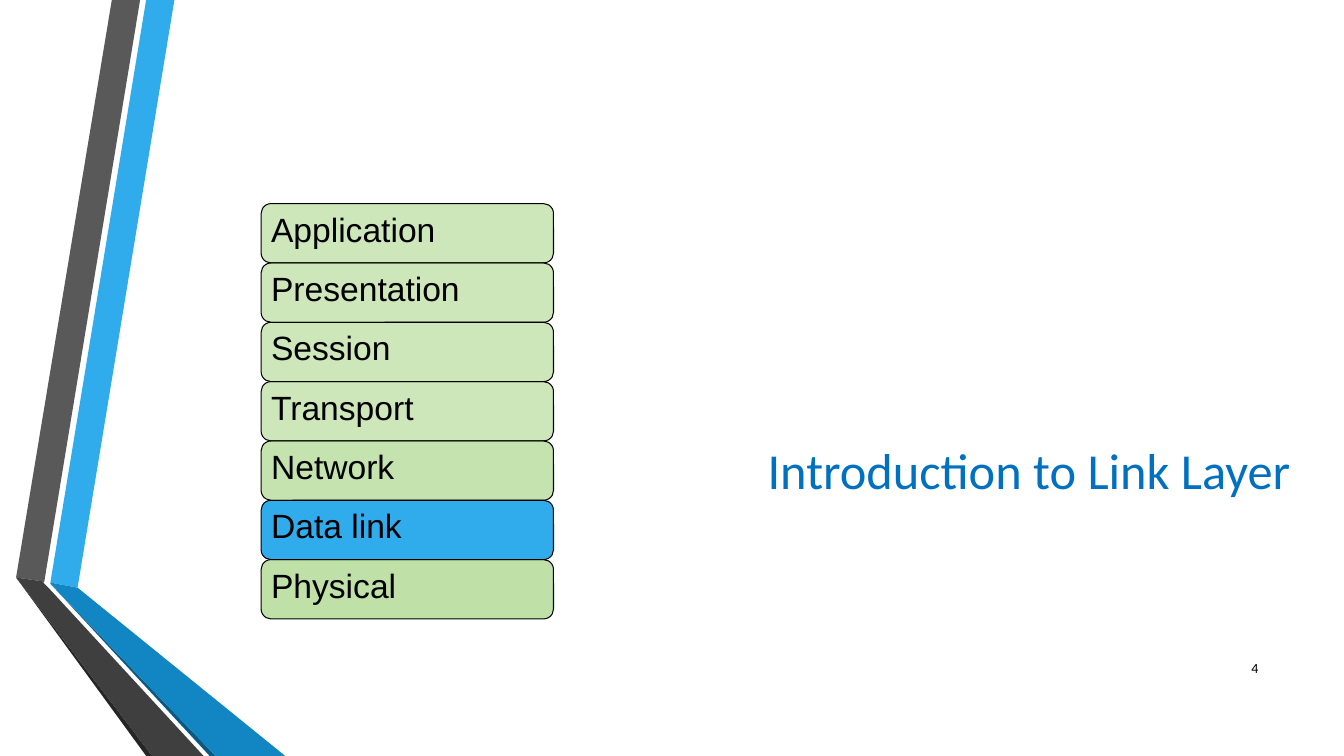
from lxml import etree
from pptx import Presentation
from pptx.dml.color import RGBColor
from pptx.enum.shapes import MSO_SHAPE as Shape
from pptx.enum.text import MSO_ANCHOR as Anchor, PP_ALIGN as Align
from pptx.oxml.ns import qn
from pptx.util import Inches, Pt

BLACK = RGBColor(0x00, 0x00, 0x00)
TITLE = RGBColor(0x00, 0x70, 0xC0)
GREEN = RGBColor(0x80, 0xC3, 0x4F)
SKY = RGBColor(0x30, 0xAC, 0xEC)
BLUE = RGBColor(0x11, 0x86, 0xC3)
NAVY = RGBColor(0x0B, 0x59, 0x82)
GREY = RGBColor(0x59, 0x59, 0x59)
DARK = RGBColor(0x3F, 0x3F, 0x3F)
INK = RGBColor(0x26, 0x26, 0x26)

# Stack of layers, in inches
LEFT, TOP, WIDTH, HEIGHT = 2.59, 2.02, 2.9, 4.12

# Name, fill, opacity in percent
LAYERS = [
    ("Application", GREEN, 39),
    ("Presentation", GREEN, 39),
    ("Session", GREEN, 39),
    ("Transport", GREEN, 39),
    ("Network", GREEN, 46),
    ("Data link", SKY, 100),
    ("Physical", GREEN, 50),
]

# Corners in hundredths of an inch
RIBBONS = [
    (SKY, [(50, 578), (77, 583), (173, 0), (145, 0)]),
    (GREY, [(139, 0), (111, 0), (16, 573), (44, 577)]),
    (INK, [(16, 573), (145, 750), (151, 750)]),
    (NAVY, [(50, 579), (208, 750), (214, 750)]),
    (BLUE, [(50, 578), (50, 579), (214, 750), (283, 750), (77, 583)]),
    (DARK, [(202, 750), (48, 583), (43, 578), (44, 577), (16, 573),
            (151, 750)]),
]


def place(shape, left, top, width, height):
    shape.left, shape.top = Inches(left), Inches(top)
    shape.width, shape.height = Inches(width), Inches(height)


def write(shape, text, font, size, color, align, anchor):
    frame = shape.text_frame
    frame.word_wrap = True
    frame.vertical_anchor = anchor
    frame.text = text
    para = frame.paragraphs[0]
    para.alignment = align
    style = para.runs[0].font
    style.name, style.size = font, Pt(size)
    style.color.rgb = color


def paint(shape, color, alpha=100):
    """Fill a shape, see-through when alpha is below 100 percent."""
    shape.shadow.inherit = False
    shape.fill.solid()
    shape.fill.fore_color.rgb = color
    if alpha < 100:
        tone = shape.fill._xPr.find(".//" + qn("a:srgbClr"))
        etree.SubElement(tone, qn("a:alpha"), val=str(alpha * 1000))


def add_ribbon(slide, color, points):
    pen = slide.shapes.build_freeform(*points[0], scale=Inches(0.01))
    pen.add_line_segments(points[1:], close=True)
    ribbon = pen.convert_to_shape()
    paint(ribbon, color)
    ribbon.line.fill.background()


def add_layer(slide, row, name, color, alpha):
    step = HEIGHT / len(LAYERS)
    bar = slide.shapes.add_shape(
        Shape.ROUNDED_RECTANGLE, Inches(LEFT), Inches(TOP + row * step),
        Inches(WIDTH), Inches(step))
    paint(bar, color, alpha)
    bar.line.color.rgb = BLACK
    bar.line.width = Pt(0.75)
    write(bar, name, "Arial", 24, BLACK, Align.LEFT, Anchor.TOP)
    # The round corners inset the text by a further 0.03 inch
    frame = bar.text_frame
    frame.margin_left, frame.margin_top = Inches(0.07), Inches(0.02)
    frame.margin_bottom = 0


def add_number(slide, text):
    box = slide.shapes.add_textbox(0, 0, 0, 0)
    place(box, 11.98, 6.43, 0.6, 0.4)
    write(box, text, "Calibri", 10, BLACK, Align.RIGHT, Anchor.MIDDLE)


def main():
    deck = Presentation()
    deck.slide_width, deck.slide_height = Inches(13.33), Inches(7.5)
    slide = deck.slides.add_slide(deck.slide_layouts.get_by_name("Title Only"))
    for color, points in RIBBONS:
        add_ribbon(slide, color, points)
    title = slide.shapes.title
    place(title, 3.13, 4.31, 9.77, 0.94)
    write(title, "Introduction to Link Layer", "Calibri", 36, TITLE,
          Align.RIGHT, Anchor.TOP)
    for row, layer in enumerate(LAYERS):
        add_layer(slide, row, *layer)
    add_number(slide, "4")
    deck.save("out.pptx")


if __name__ == "__main__":
    main()
